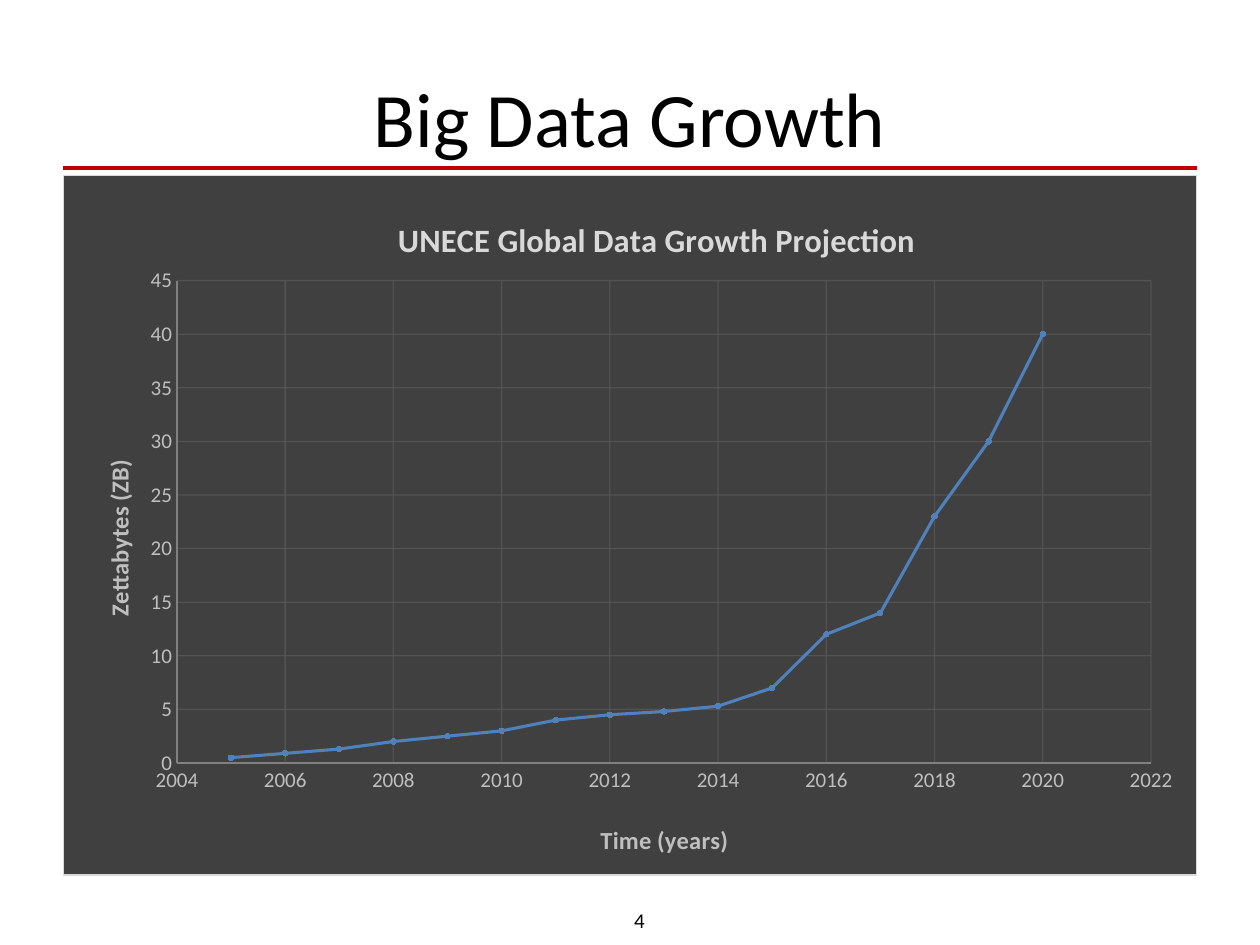
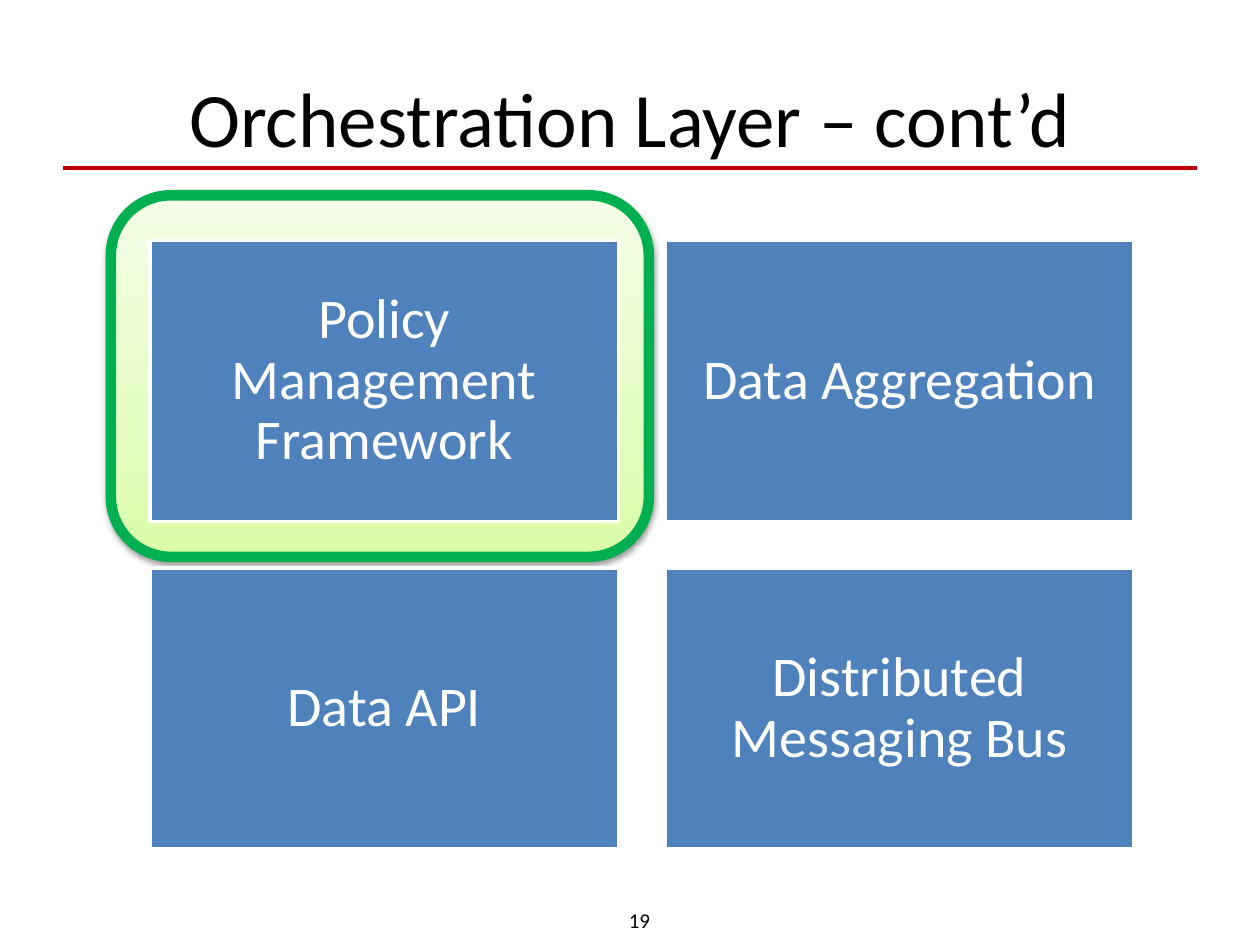
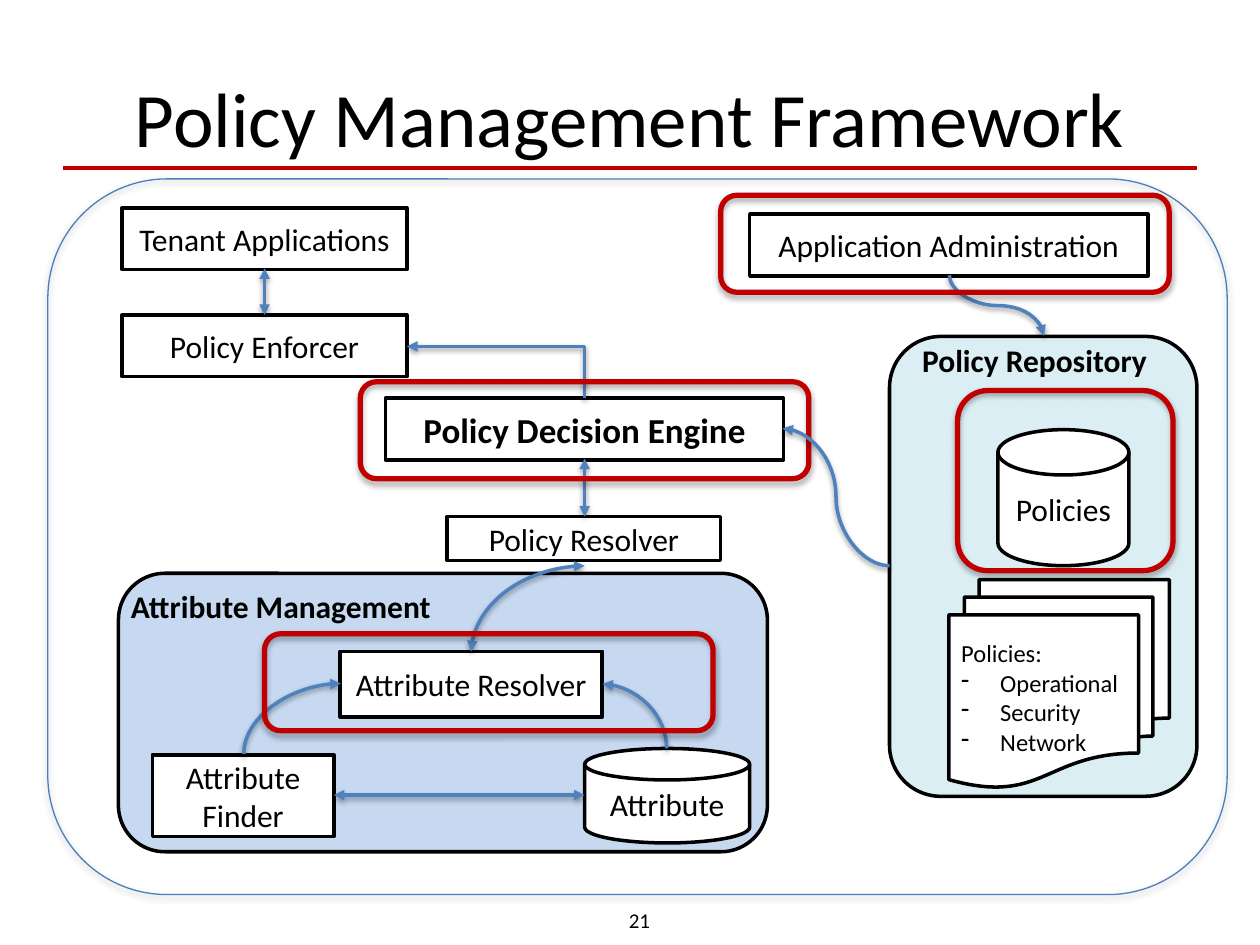
from copy import deepcopy

from lxml import etree
from pptx import Presentation
from pptx.chart.data import XyChartData
from pptx.dml.color import RGBColor
from pptx.enum.chart import XL_CHART_TYPE, XL_MARKER_STYLE, XL_TICK_MARK
from pptx.enum.shapes import MSO_CONNECTOR, MSO_SHAPE
from pptx.enum.text import MSO_ANCHOR, PP_ALIGN
from pptx.oxml import parse_xml
from pptx.oxml.ns import nsdecls, qn
from pptx.util import Emu, Pt

PX = 9144
FONT = "Calibri"
BLACK, WHITE, RED, GREEN, BLUE = "000000", "FFFFFF", "C00000", "00B050", "4F81BD"
CHART_BG, CHART_EDGE, CHART_TEXT = "404040", "D9D9D9", "BFBFBF"
AXIS, GRID = "808080", "595959"
SKY, AQUA, FRAME = "C6D9F1", "DBEEF4", "4B7EBC"

RECT, ROUND = MSO_SHAPE.RECTANGLE, MSO_SHAPE.ROUNDED_RECTANGLE
DISK, DOCS = MSO_SHAPE.FLOWCHART_MAGNETIC_DISK, MSO_SHAPE.FLOWCHART_MULTIDOCUMENT
STRAIGHT, ELBOW, CURVE = MSO_CONNECTOR.STRAIGHT, MSO_CONNECTOR.ELBOW, MSO_CONNECTOR.CURVE
LEFT, CENTER = PP_ALIGN.LEFT, PP_ALIGN.CENTER
TOP, MIDDLE = MSO_ANCHOR.TOP, MSO_ANCHOR.MIDDLE
SMOOTH, CIRCLE, NO_TICK = XL_CHART_TYPE.XY_SCATTER_SMOOTH, XL_MARKER_STYLE.CIRCLE, XL_TICK_MARK.NONE

SOFT, FAINT = (38, 20000), (35, 23000)

FIRST_YEAR = 2005
ZETTABYTES = [0.5, 0.9, 1.3, 2, 2.5, 3, 4, 4.5, 4.8, 5.3, 7, 12, 14, 23, 30, 40]
CHART_BOX = (50, 139, 900, 556)
PLOT = {"x": 0.1, "y": 0.15, "w": 0.86, "h": 0.69}

CARDS = ["Policy Management Framework", "Data Aggregation", "Data API", "Distributed Messaging Bus"]
GLOW = [(0, "DAFDA7"), (0.35, "E4FCC2"), (1, "F5FFE7")]

PANELS = [((94, 455, 515, 221), SKY), ((706, 267, 244, 365), AQUA)]
BOXES = [
    (RECT, (97, 165, 226, 49), "Tenant Applications", {}),
    (RECT, (97, 250, 226, 49), "Policy Enforcer", {}),
    (RECT, (306, 316, 316, 49), "Policy Decision Engine", {"size": 20, "bold": True}),
    (RECT, (595, 170, 316, 49), "Application Administration", {}),
    (RECT, (355, 410, 217, 35), "Policy Resolver", {}),
    (RECT, (270, 517, 208, 52), "Attribute Resolver", {}),
    (RECT, (121, 599, 144, 65), "Attribute Finder", {}),
    (DISK, (464, 594, 131, 75), "Attribute", {}),
    (DISK, (792, 341, 104, 108), "Policies", {}),
    (DOCS, (753, 460, 175, 165), ["Policies:", "- Operational", "- Security", "- Network"],
     {"size": 14, "align": LEFT}),
]
LABELS = [((94, 461, 268, 40), "Attribute Management"), ((722, 266, 210, 40), "Policy Repository")]
LINKS = [
    (STRAIGHT, "line", (210, 213, 210, 250), 0, "both"),
    (ELBOW, "bentConnector2", (323, 275, 464, 316), 0, "head"),
    (STRAIGHT, "line", (464, 410, 464, 364), 0, "both"),
    (CURVE, "curvedConnector3", (815, 205, 767, 280), 270, "tail"),
    (CURVE, "curvedConnector2", (478, 594, 529, 543), 270, "tail"),
    (CURVE, "curvedConnector2", (260, 609, 204, 532), 90, "tail"),
    (STRAIGHT, "line", (265, 631, 464, 631), 0, "both"),
    (CURVE, "curvedConnector2", (374, 517, 464, 449), 180, "both"),
]
REPOSITORY_LINK = (CURVE, "curvedConnector3", (621, 340, 706, 449), 180, "tail")
HIGHLIGHTS = [(572, 155, 356, 77), (286, 303, 356, 77), (760, 310, 171, 143), (210, 503, 356, 77)]


def px(values):
    return [Emu(v * PX) for v in values]


def rgb(color):
    return RGBColor.from_string(color)


def style_font(font, size, color, bold=False):
    font.name, font.size, font.bold = FONT, Pt(size), bold
    font.color.rgb = rgb(color)


def style_line(line, color, width):
    line.color.rgb = rgb(color)
    line.width = Pt(width)


def write(tf, text, size=18, color=BLACK, bold=False, align=CENTER, anchor=MIDDLE, spacing=None, inset=None):
    tf.word_wrap = True
    tf.vertical_anchor = anchor
    if inset is not None:
        tf.margin_left = tf.margin_right = tf.margin_top = tf.margin_bottom = Emu(inset * PX)
    for i, line in enumerate([text] if isinstance(text, str) else text):
        p = tf.add_paragraph() if i else tf.paragraphs[0]
        p.alignment = align
        p.line_spacing = spacing
        if line.startswith("- "):
            line = line[2:]
            pPr = p._p.get_or_add_pPr()
            pPr.set("marL", str(31 * PX))
            pPr.set("indent", str(-31 * PX))
            etree.SubElement(pPr, qn("a:buChar"), char="-")
        r = p.add_run()
        r.text = line
        style_font(r.font, size, color, bold)


def set_shadow(sp, alpha, dist):
    spPr = sp._element.spPr
    for old in spPr.findall(qn("a:effectLst")):
        spPr.remove(old)
    spPr.append(parse_xml(
        f'<a:effectLst {nsdecls("a")}><a:outerShdw blurRad="40000" dist="{dist}" dir="5400000" rotWithShape="0">'
        f'<a:srgbClr val="{BLACK}"><a:alpha val="{alpha * 1000}"/></a:srgbClr></a:outerShdw></a:effectLst>'))


def add_box(s, kind, box, fill=None, line=BLACK, width=2, shadow=None):
    sp = s.shapes.add_shape(kind, *px(box))
    sp.shadow.inherit = False
    if fill:
        sp.fill.solid()
        sp.fill.fore_color.rgb = rgb(fill)
    else:
        sp.fill.background()
    style_line(sp.line, line, width)
    if shadow:
        set_shadow(sp, *shadow)
    return sp


def add_label(s, box, text, **fmt):
    write(s.shapes.add_textbox(*px(box)).text_frame, text, **fmt)


def add_link(s, kind, preset, ends, turn, arrows):
    c = s.shapes.add_connector(kind, *px(ends))
    style_line(c.line, BLUE, 2)
    spPr = c._element.spPr
    spPr.find(qn("a:prstGeom")).set("prst", preset)
    spPr.find(qn("a:xfrm")).set("rot", str(turn * 60000))
    for end in ("head", "tail"):
        if arrows in (end, "both"):
            etree.SubElement(spPr.find(qn("a:ln")), qn(f"a:{end}End"), type="triangle")
    set_shadow(c, *SOFT)


def add_slide(prs, title, number):
    s = prs.slides.add_slide(prs.slide_layouts[5])
    rule = s.shapes.add_connector(STRAIGHT, *px((50, 133, 950, 133)))
    style_line(rule.line, RED, 2.25)
    etree.SubElement(rule._element.spPr, qn("a:effectLst"))
    head = s.shapes.title
    head.left, head.top, head.width, head.height = px((50, 30, 900, 125))
    write(head.text_frame, title, size=44)
    add_label(s, (391, 710, 233, 40), number, size=12)
    return s


def set_layout(el, index, x, y, **size):
    for old in el.findall(qn("c:layout")):
        el.remove(old)
    layout = etree.Element(qn("c:layout"))
    manual = etree.SubElement(layout, qn("c:manualLayout"))
    if size:
        etree.SubElement(manual, qn("c:layoutTarget"), val="inner")
    for tag in ("xMode", "yMode"):
        etree.SubElement(manual, qn(f"c:{tag}"), val="edge")
    for tag, value in {"x": x, "y": y, **size}.items():
        etree.SubElement(manual, qn(f"c:{tag}"), val=str(value))
    el.insert(index, layout)


def title_chart(title, text, size, color, x, y, turn=0):
    tf = title.text_frame
    r = tf.paragraphs[0].add_run()
    r.text = text
    style_font(r.font, size, color, True)
    tf._txBody.bodyPr.set("rot", str(turn * 60000))
    set_layout(title._element, 1, x, y)


def style_axis(axis, low, high, step):
    axis.minimum_scale, axis.maximum_scale, axis.major_unit = low, high, step
    axis.major_tick_mark = axis.minor_tick_mark = NO_TICK
    axis.has_major_gridlines = True
    style_line(axis.major_gridlines.format.line, GRID, 0.75)
    style_line(axis.format.line, AXIS, 0.75)
    style_font(axis.tick_labels.font, 12, CHART_TEXT)


def build_growth(prs):
    s = add_slide(prs, "Big Data Growth", "4")
    data = XyChartData()
    points = data.add_series("Series 1")
    for year, value in enumerate(ZETTABYTES, FIRST_YEAR):
        points.add_data_point(year, value)
    chart = s.shapes.add_chart(SMOOTH, *px(CHART_BOX), data).chart
    style_font(chart.font, 10, BLACK)
    chart.has_legend = False
    chart.plots[0].vary_by_categories = False
    years, volume = chart.category_axis, chart.value_axis
    style_axis(years, 2004, 2022, 2)
    style_axis(volume, 0, 45, 5)
    title_chart(chart.chart_title, "UNECE Global Data Growth Projection", 18.6, CHART_EDGE, 0.29, 0.05)
    title_chart(years.axis_title, "Time (years)", 14, CHART_TEXT, 0.47, 0.92)
    title_chart(volume.axis_title, "Zettabytes (ZB)", 14, CHART_TEXT, 0.03, 0.4, -90)

    series = chart.plots[0].series[0]
    series.smooth = True
    style_line(series.format.line, BLUE, 1.75)
    series.marker.style, series.marker.size = CIRCLE, 3
    series.marker.format.fill.solid()
    series.marker.format.fill.fore_color.rgb = rgb(BLUE)
    style_line(series.marker.format.line, BLUE, 0.75)

    space = chart._chartSpace
    for color in space.xpath(".//c:majorGridlines//a:srgbClr"):
        etree.SubElement(color, qn("a:alpha"), val="75000")
    set_layout(space.chart.plotArea, 0, **PLOT)
    space.chart.addnext(parse_xml(
        f'<c:spPr {nsdecls("c", "a")}><a:solidFill><a:srgbClr val="{CHART_BG}"/></a:solidFill>'
        f'<a:ln w="9525"><a:solidFill><a:srgbClr val="{CHART_EDGE}"/></a:solidFill></a:ln></c:spPr>'))


def build_orchestration(prs):
    s = add_slide(prs, "Orchestration Layer – cont’d", "19")
    glow = add_box(s, ROUND, (88, 155, 427, 287), line=GREEN, width=6, shadow=SOFT)
    glow.fill.gradient()
    glow.fill.gradient_angle = 90
    stops = glow._element.spPr.find(".//" + qn("a:gsLst"))
    stops.append(deepcopy(stops[0]))
    for stop, (position, color) in zip(glow.fill.gradient_stops, GLOW):
        stop.position = position
        stop.color.rgb = rgb(color)
    for i, text in enumerate(CARDS):
        row, col = divmod(i, 2)
        card = add_box(s, RECT, (119 + 409 * col, 191 + 260 * row, 372, 223), BLUE, WHITE)
        write(card.text_frame, text, size=32, color=WHITE, spacing=0.9, inset=13)


def build_framework(prs):
    s = add_slide(prs, "Policy Management Framework", "21")
    add_box(s, ROUND, (38, 142, 936, 568), line=FRAME, width=0.75, shadow=FAINT)
    for box, fill in PANELS:
        add_box(s, ROUND, box, fill)
    for kind, box, text, fmt in BOXES:
        write(add_box(s, kind, box, WHITE).text_frame, text, **fmt)
    for box, text in LABELS:
        add_label(s, box, text, bold=True, align=LEFT, anchor=TOP)
    for link in LINKS:
        add_link(s, *link)
    for box in HIGHLIGHTS:
        add_box(s, ROUND, box, line=RED, width=3, shadow=FAINT)
    add_link(s, *REPOSITORY_LINK)


def main():
    prs = Presentation()
    prs.slide_width, prs.slide_height = px((1000, 750))
    build_growth(prs)
    build_orchestration(prs)
    build_framework(prs)
    prs.save("out.pptx")


if __name__ == "__main__":
    main()
